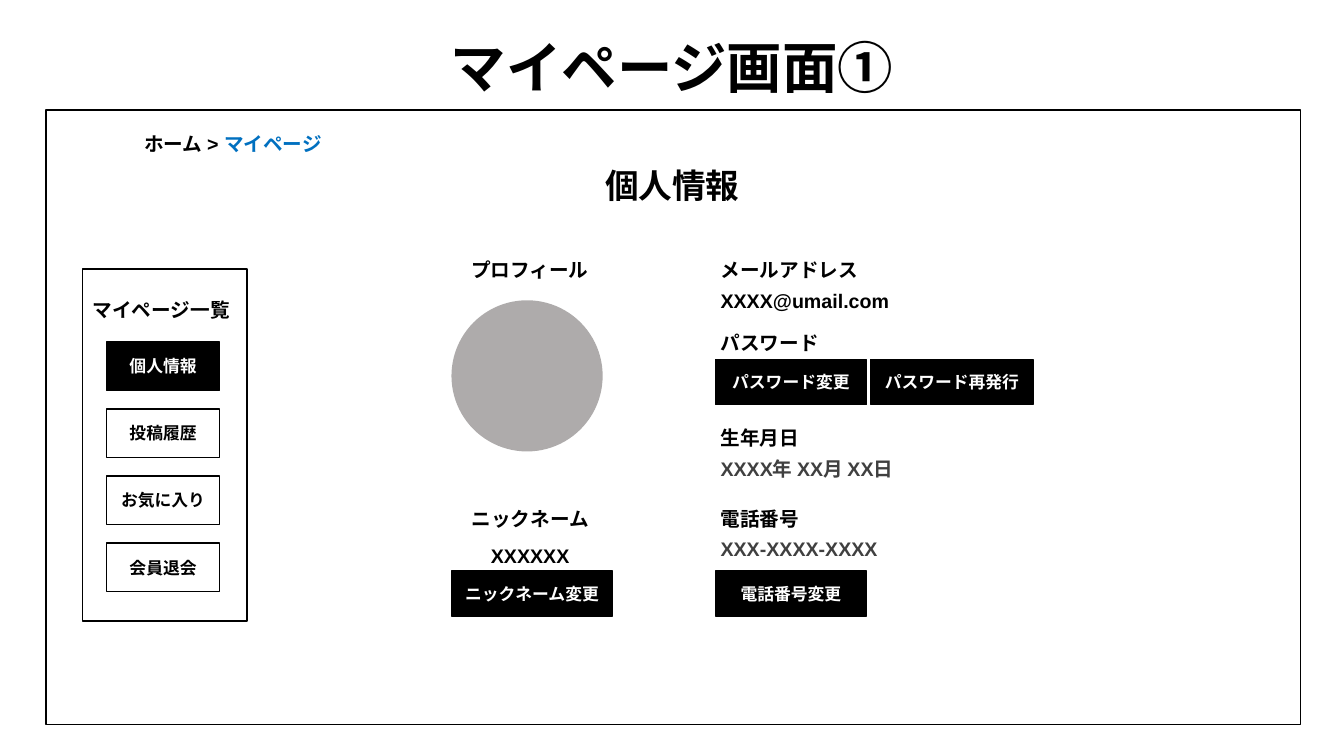
from pptx import Presentation
from pptx.dml.color import RGBColor
from pptx.enum.lang import MSO_LANGUAGE_ID
from pptx.enum.shapes import MSO_SHAPE
from pptx.enum.text import MSO_ANCHOR, MSO_AUTO_SIZE, PP_ALIGN
from pptx.util import Pt

RECTANGLE, OVAL = MSO_SHAPE.RECTANGLE, MSO_SHAPE.OVAL
LEFT, CENTER = PP_ALIGN.LEFT, PP_ALIGN.CENTER
TOP, MIDDLE = MSO_ANCHOR.TOP, MSO_ANCHOR.MIDDLE
JAPANESE = MSO_LANGUAGE_ID.JAPANESE

BLACK, WHITE, DARK_GRAY, GRAY, BLUE = "000000", "FFFFFF", "404040", "AEABAB", "0070C0"
TITLE_SIZE, HEADING_SIZE, BODY_SIZE, BUTTON_SIZE = 39.6, 24, 14, 12

TITLE = "マイページ画面①"
HEADING = "個人情報"
BREADCRUMB = [("ホーム > ", BLACK), ("マイページ", BLUE)]
MENU_TITLE = "マイページ一覧"
MENU = ["個人情報", "投稿履歴", "お気に入り", "会員退会"]
SELECTED = "個人情報"

# Positions and sizes are in points: left, top, width, height
FRAME = (33, 78.5, 896, 439)
SIDEBAR = (59, 192.2, 117.5, 251.3)
AVATAR = (322.5, 214.5, 108, 108)
MENU_LEFT, MENU_TOP, MENU_PITCH = 76, 244.2, 47.9
MENU_WIDTH, MENU_HEIGHT = 81, 34.6
LABEL_HEIGHT, BUTTON_HEIGHT = 24.5, 32
DETAIL_LEFT, DETAIL_BUTTON_LEFT = 507.6, 511
ROW_1, ROW_2, ROW_3, ROW_4 = 180.7, 232.6, 301, 358.5
PASSWORD_BUTTON_TOP, LOWER_BUTTON_TOP = 257, 408

LABELS = [  # text, left, top, width, alignment
    ("メールアドレス", DETAIL_LEFT, ROW_1, 147, LEFT),
    ("パスワード", DETAIL_LEFT, ROW_2, 237, LEFT),
    ("生年月日", DETAIL_LEFT, ROW_3, 237, LEFT),
    ("電話番号", DETAIL_LEFT, ROW_4, 155, LEFT),
    ("プロフィール", 295, ROW_1, 167, CENTER),
    ("ニックネーム", 317.5, ROW_4, 122.5, CENTER),
    (MENU_TITLE, 56.5, 209.5, 117.5, CENTER),
]
VALUES = [  # text, place, colour, alignment
    ("XXXX@umail.com", (DETAIL_LEFT, 204.5, 260.5, 21), BLACK, LEFT),
    ("XXXX年 XX月 XX日", (DETAIL_LEFT, 320.5, 237, 29), DARK_GRAY, LEFT),
    ("XXX-XXXX-XXXX", (DETAIL_LEFT, 380, 171, 24.5), DARK_GRAY, LEFT),
    ("XXXXXX", (317.5, 384, 122.5, 26), BLACK, CENTER),
]
BUTTONS = [  # text, left, top, width
    ("パスワード変更", DETAIL_BUTTON_LEFT, PASSWORD_BUTTON_TOP, 108),
    ("パスワード再発行", 622, PASSWORD_BUTTON_TOP, 116),
    ("電話番号変更", DETAIL_BUTTON_LEFT, LOWER_BUTTON_TOP, 108),
    ("ニックネーム変更", 322.5, LOWER_BUTTON_TOP, 115),
]


def rgb(value):
    return RGBColor.from_string(value)


def points(place):
    return [Pt(length) for length in place]


def write(shape, runs, size, alignment=CENTER, anchor=MIDDLE):
    """Put bold (text, colour) runs into the only paragraph of a shape."""
    frame = shape.text_frame
    frame.word_wrap = True
    frame.auto_size = MSO_AUTO_SIZE.NONE
    frame.vertical_anchor = anchor
    paragraph = frame.paragraphs[0]
    paragraph.alignment = alignment
    for text, color in runs:
        run = paragraph.add_run()
        run.text = text
        run.font.name = "Arial"
        run.font.size = Pt(size)
        run.font.bold = True
        run.font.color.rgb = rgb(color)
        run.font.language_id = JAPANESE


def add_panel(place, fill, line=None, kind=RECTANGLE):
    shape = slide.shapes.add_shape(kind, *points(place))
    shape.shadow.inherit = False
    shape.fill.solid()
    shape.fill.fore_color.rgb = rgb(fill)
    if line:
        shape.line.color.rgb = rgb(line)
        shape.line.width = Pt(1)
    else:
        shape.line.fill.background()
    return shape


def add_text(place, runs, size, alignment):
    write(slide.shapes.add_textbox(*points(place)), runs, size, alignment, TOP)


def add_button(text, place, fill=BLACK, color=WHITE):
    write(add_panel(place, fill, BLACK), [(text, color)], BUTTON_SIZE)


presentation = Presentation()
presentation.slide_width, presentation.slide_height = Pt(960), Pt(540)
slide = presentation.slides.add_slide(presentation.slide_layouts[5])

title = slide.shapes.title
title.left, title.top, title.width, title.height = points((66, 29, 828, 43))
write(title, [(TITLE, BLACK)], TITLE_SIZE)
title.text_frame.paragraphs[0].line_spacing = 0.9

add_panel(FRAME, WHITE, BLACK)
add_panel(SIDEBAR, WHITE, BLACK)
add_panel(AVATAR, GRAY, kind=OVAL)

for text, place, color, alignment in VALUES:
    write(add_panel(place, WHITE), [(text, color)], BODY_SIZE, alignment)
for text, left, top, width, alignment in LABELS:
    add_text((left, top, width, LABEL_HEIGHT), [(text, BLACK)], BODY_SIZE, alignment)
for text, left, top, width in BUTTONS:
    add_button(text, (left, top, width, BUTTON_HEIGHT))
for index, text in enumerate(MENU):
    place = (MENU_LEFT, MENU_TOP + index * MENU_PITCH, MENU_WIDTH, MENU_HEIGHT)
    fill, color = (BLACK, WHITE) if text == SELECTED else (WHITE, BLACK)
    add_button(text, place, fill, color)

add_text((294.5, 114.5, 371.5, 36), [(HEADING, BLACK)], HEADING_SIZE, CENTER)
add_text((96, 90.7, 448, LABEL_HEIGHT), BREADCRUMB, BODY_SIZE, LEFT)

presentation.save("out.pptx")
